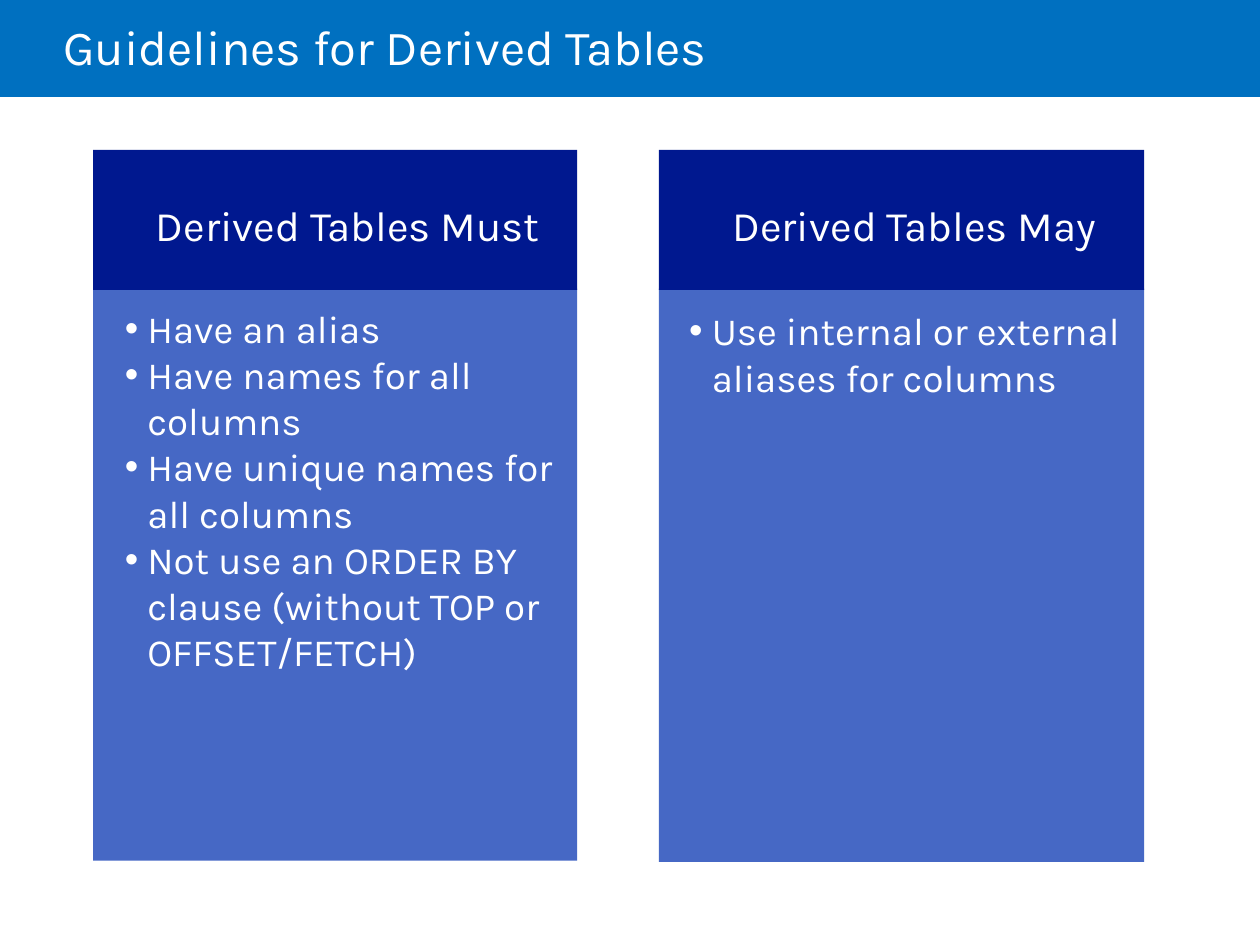
from lxml.etree import SubElement
from pptx import Presentation
from pptx.dml.color import RGBColor
from pptx.enum.shapes import MSO_SHAPE as SHAPE
from pptx.enum.text import MSO_ANCHOR as ANCHOR, MSO_AUTO_SIZE as AUTO_SIZE, PP_ALIGN as ALIGN
from pptx.oxml.ns import qn
from pptx.util import Inches, Pt

FONT = "Karla"
COLORS = {"band": "0070C0", "header": "00188F", "panel": "4668C5", "text": "FFFFFF"}
PANEL_TOP, HEADER_TOP, HEADER_HEIGHT = 2.29, 1.19, 1.11
BULLET_INDENT = 0.18

COLUMNS = [
    {
        "heading": "Derived Tables Must",
        "items": [
            "Have an alias",
            "Have names for all columns",
            "Have unique names for all columns",
            "Not use an ORDER BY clause (without TOP or OFFSET/FETCH)",
        ],
        "left": 0.74, "width": 3.84, "height": 4.54,
        "list_box": (0.99, 2.42, 3.41, 4.16),
    },
    {
        "heading": "Derived Tables May",
        "items": ["Use internal or external aliases for columns"],
        "left": 5.23, "width": 3.85, "height": 4.55,
        "list_box": (5.47, 2.44, 3.43, 4.16),
    },
]


def rgb(name):
    return RGBColor.from_string(COLORS[name])


def format_frame(tf, margins, anchor):
    """Set the insets (left, top, right, bottom in inches) and anchor."""
    left, top, right, bottom = map(Inches, margins)
    values = {
        "word_wrap": True, "auto_size": AUTO_SIZE.NONE, "vertical_anchor": anchor,
        "margin_left": left, "margin_top": top,
        "margin_right": right, "margin_bottom": bottom,
    }
    for name, value in values.items():
        setattr(tf, name, value)


def write(p, text, size, align=ALIGN.LEFT):
    p.alignment = align
    r = p.add_run()
    r.text = text
    r.font.name = FONT
    r.font.size = Pt(size)
    r.font.color.rgb = rgb("text")


def add_block(slide, kind, box, color):
    sp = slide.shapes.add_shape(kind, *map(Inches, box))
    sp.shadow.inherit = False
    sp.fill.solid()
    sp.fill.fore_color.rgb = rgb(color)
    sp.line.fill.background()
    return sp


def add_title(slide, text):
    band = add_block(slide, SHAPE.RECTANGLE, (0, 0, 10, 0.77), "band")
    title = slide.shapes.title
    title.element.addprevious(band.element)
    title.left, title.top, title.width, title.height = map(Inches, (0.5, 0, 8.5, 0.81))
    tf = title.text_frame
    format_frame(tf, (0, 0.05, 0.1, 0.05), ANCHOR.MIDDLE)
    p = tf.paragraphs[0]
    p.line_spacing = 0.85
    write(p, text, 28)


def add_bullet(p):
    pPr = p._p.get_or_add_pPr()
    pPr.set("marL", str(Inches(BULLET_INDENT)))
    pPr.set("indent", str(-Inches(BULLET_INDENT)))
    SubElement(pPr, qn("a:buFont"), typeface="Arial")
    SubElement(pPr, qn("a:buChar"), char="•")


def add_list(slide, box, items):
    tf = slide.shapes.add_textbox(*map(Inches, box)).text_frame
    format_frame(tf, (0, 0, 0, 0), ANCHOR.TOP)
    for i, item in enumerate(items):
        p = tf.add_paragraph() if i else tf.paragraphs[0]
        write(p, item, 22)
        add_bullet(p)


def add_column(slide, heading, items, left, width, height, list_box):
    panel = add_block(slide, SHAPE.ROUNDED_RECTANGLE,
                      (left, PANEL_TOP, width, height), "panel")
    panel.adjustments[0] = 0
    header = add_block(slide, SHAPE.RECTANGLE,
                       (left, HEADER_TOP, width, HEADER_HEIGHT), "header")
    tf = header.text_frame
    format_frame(tf, (0.3, 0.12, 0.1, 0.05), ANCHOR.MIDDLE)
    write(tf.paragraphs[0], heading, 24, ALIGN.CENTER)
    add_list(slide, list_box, items)


def main():
    prs = Presentation()
    prs.slide_width, prs.slide_height = Inches(10), Inches(7.5)
    slide = prs.slides.add_slide(prs.slide_layouts[5])
    add_title(slide, "Guidelines for Derived Tables")
    for column in COLUMNS:
        add_column(slide, **column)
    prs.save("out.pptx")


if __name__ == "__main__":
    main()
